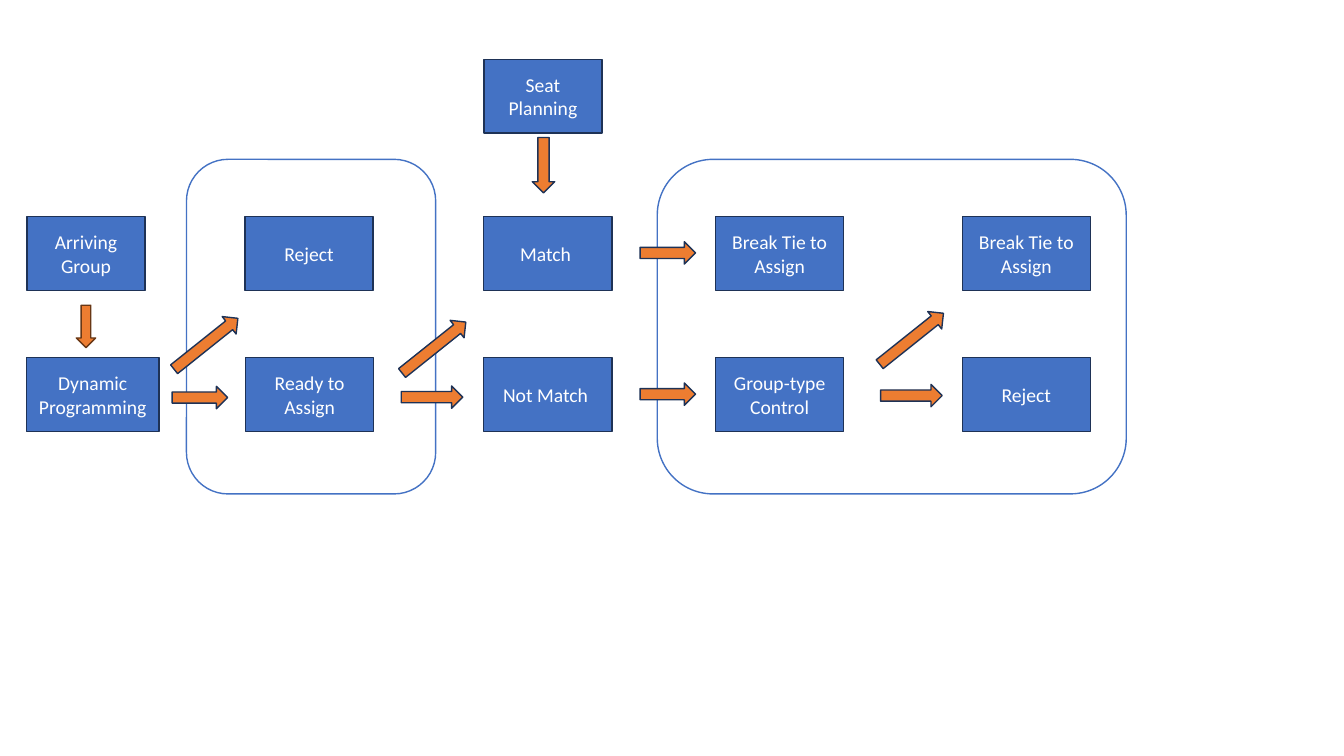
from pptx import Presentation
from pptx.dml.color import RGBColor
from pptx.enum import shapes, text
from pptx.util import Pt

KIND = shapes.MSO_SHAPE
BLUE, NAVY, ORANGE, WHITE = "4472C4", "1E3256", "ED7D31", "FFFFFF"

deck = Presentation()
deck.slide_width, deck.slide_height = Pt(960), Pt(540)
slide = deck.slides.add_slide(deck.slide_layouts[6])


def draw(kind, left, top, width, height, fill, line=NAVY, turn=0):
    shape = slide.shapes.add_shape(
        kind, Pt(left), Pt(top), Pt(width), Pt(height))
    shape.shadow.inherit = False
    shape.fill.solid()
    shape.fill.fore_color.rgb = RGBColor.from_string(fill)
    shape.line.color.rgb = RGBColor.from_string(line)
    shape.line.width = Pt(1)
    shape.rotation = turn
    return shape


def write(shape, words, size=14, color=WHITE, font="Calibri"):
    frame = shape.text_frame
    frame.word_wrap = True
    frame.vertical_anchor = text.MSO_ANCHOR.MIDDLE
    frame.text = words
    for para in frame.paragraphs:
        para.alignment = text.PP_ALIGN.CENTER
        para.font.size = Pt(size)
        para.font.name = font
        para.font.color.rgb = RGBColor.from_string(color)


# Rounded panels behind the steps
for left, width in ((469.5, 335), (133.2, 178)):
    draw(KIND.ROUNDED_RECTANGLE, left, 113.8, width, 239, WHITE, BLUE)

# Steps, on three rows
HEAD, UPPER, LOWER = 42.4, 154.8, 255.6
steps = (
    ("Seat\nPlanning", 345.6, HEAD, 84.5),
    ("Arriving Group", 19.2, UPPER, 84.5),
    ("Reject", 175, UPPER, 91.5),
    ("Match ", 345.6, UPPER, 91.5),
    ("Break Tie to Assign", 511.2, UPPER, 91.5),
    ("Break Tie to Assign", 687.4, UPPER, 91.5),
    ("Dynamic Programming", 19, LOWER, 94.5),
    ("Ready to Assign", 175.5, LOWER, 91.5),
    ("Not Match ", 345.6, LOWER, 91.5),
    ("Group-type Control", 511.2, LOWER, 91.5),
    ("Reject", 687.4, LOWER, 91.5),
)
for words, left, top, width in steps:
    write(draw(KIND.RECTANGLE, left, top, width, 52.6, BLUE), words)

# Arrows: left, top, length, turn
RISE = 321.4
arrows = (
    (368.4, 110, 39.6, 90),
    (118, 237.6, 58.3, RISE),
    (123, 276, 39.6, 0),
    (280.8, 240.3, 58.3, RISE),
    (286.6, 275.7, 44, 0),
    (457.2, 172.7, 39.6, 0),
    (457.2, 273.6, 39.6, 0),
    (622, 234, 58.3, RISE),
    (629, 274.6, 44, 0),
)
for left, top, width, turn in arrows:
    draw(KIND.RIGHT_ARROW, left, top, width, 16, ORANGE, turn=turn)
draw(KIND.DOWN_ARROW, 54.5, 218, 13.8, 30.3, ORANGE, "683715")

deck.save("out.pptx")
